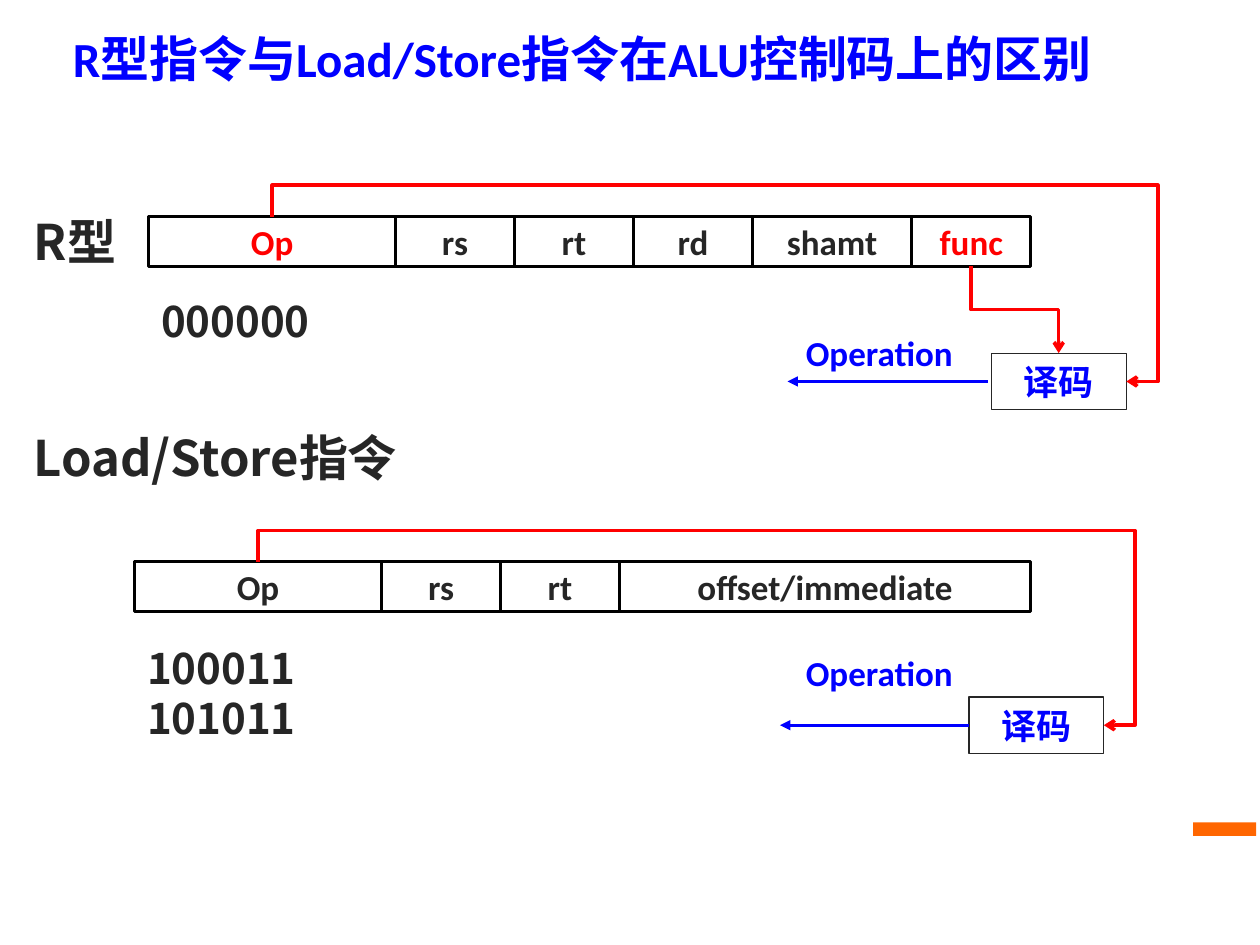
from dataclasses import dataclass

from lxml.etree import SubElement
from pptx import Presentation
from pptx.dml.color import RGBColor
from pptx.enum.shapes import MSO_CONNECTOR, MSO_SHAPE
from pptx.enum.text import MSO_ANCHOR, PP_ALIGN
from pptx.oxml.ns import qn
from pptx.shapes.autoshape import Shape
from pptx.shapes.connector import Connector
from pptx.slide import Slide
from pptx.util import Pt

COLORS = {"blue": "0000FF", "red": "FF0000", "ink": "262626",
          "black": "000000", "white": "FFFFFF", "orange": "FF6600"}
LATIN, CJK = "Calibri", "Noto Sans CJK SC"
FIELD_HEIGHT = 28.4


@dataclass(frozen=True)
class Field:
    name: str
    width: float
    color: str = "ink"


@dataclass(frozen=True)
class Label:
    lines: tuple[str, ...]
    left: float
    top: float
    width: float
    height: float
    size: float = 28
    font: str = CJK
    color: str = "ink"
    align: PP_ALIGN = PP_ALIGN.LEFT


@dataclass(frozen=True)
class Format:
    left: float
    top: float
    fields: tuple[Field, ...]
    decoder_left: float
    decoder_top: float
    operation_top: float
    output_start: float
    output_end: float


@dataclass(frozen=True)
class Elbow:
    start: tuple[float, float]
    end: tuple[float, float]
    preset: str
    adjustments: tuple[int, ...]


def rgb(color: str) -> RGBColor:
    return RGBColor.from_string(COLORS[color])


def write(shape: Shape, lines: tuple[str, ...], size: float, font: str,
          color: str, align: PP_ALIGN) -> None:
    frame = shape.text_frame
    frame.word_wrap = True
    frame.vertical_anchor = MSO_ANCHOR.MIDDLE
    for index, line in enumerate(lines):
        paragraph = frame.paragraphs[0] if index == 0 else frame.add_paragraph()
        paragraph.alignment = align
        if len(lines) > 1:
            paragraph.line_spacing = Pt(28.6)
        run = paragraph.add_run()
        run.text = line
        run.font.size = Pt(size)
        run.font.bold = True
        run.font.name = font
        run.font.color.rgb = rgb(color)
        SubElement(run.font._element, qn("a:ea")).set("typeface", CJK)


def add_label(slide: Slide, label: Label) -> None:
    box = slide.shapes.add_textbox(Pt(label.left), Pt(label.top),
                                   Pt(label.width), Pt(label.height))
    write(box, label.lines, label.size, label.font, label.color, label.align)


def add_box(slide: Slide, left: float, top: float, width: float, height: float,
            fill: str | None, line: str | None, weight: float = 1.5) -> Shape:
    box = slide.shapes.add_shape(MSO_SHAPE.RECTANGLE, Pt(left), Pt(top), Pt(width), Pt(height))
    box.shadow.inherit = False
    if fill:
        box.fill.solid()
        box.fill.fore_color.rgb = rgb(fill)
    else:
        box.fill.background()
    if line:
        box.line.color.rgb = rgb(line)
        box.line.width = Pt(weight)
    else:
        box.line.fill.background()
    return box


def style_arrow(arrow: Connector, color: str, weight: float, head: str) -> None:
    arrow.line.color.rgb = rgb(color)
    arrow.line.width = Pt(weight)
    properties = arrow._element.spPr
    SubElement(properties.find(qn("a:ln")), qn("a:tailEnd")).set("type", head)
    SubElement(properties, qn("a:effectLst"))


def add_elbow(slide: Slide, elbow: Elbow) -> None:
    (x1, y1), (x2, y2) = elbow.start, elbow.end
    run, drop = x2 - x1, y2 - y1
    left, top = (x1 + x2 - drop) / 2, (y1 + y2 - run) / 2
    arrow = slide.shapes.add_connector(MSO_CONNECTOR.ELBOW, Pt(left), Pt(top),
                                       Pt(left + drop), Pt(top + run))
    properties = arrow._element.spPr
    transform = properties.find(qn("a:xfrm"))
    transform.set("rot", str(270 * 60000))
    transform.set("flipH", "1")
    geometry = properties.find(qn("a:prstGeom"))
    geometry.set("prst", elbow.preset)
    guides = geometry.find(qn("a:avLst"))
    for number, value in enumerate(elbow.adjustments, 1):
        guide = SubElement(guides, qn("a:gd"))
        guide.set("name", f"adj{number}")
        guide.set("fmla", f"val {value}")
    style_arrow(arrow, "red", 2, "arrow")


def add_format(slide: Slide, layout: Format) -> None:
    left = layout.left
    for field in layout.fields:
        cell = add_box(slide, left, layout.top, field.width, FIELD_HEIGHT, "white", "black")
        write(cell, (field.name,), 20, LATIN, field.color, PP_ALIGN.CENTER)
        left += field.width

    decoder = add_box(slide, layout.decoder_left, layout.decoder_top, 77, 32.4, None, "ink", 0.75)
    write(decoder, ("译码",), 20, LATIN, "blue", PP_ALIGN.CENTER)
    middle = layout.decoder_top + 16.2
    add_elbow(slide, Elbow((layout.left + layout.fields[0].width / 2, layout.top),
                           (layout.decoder_left + 77, middle),
                           "bentConnector4", (-19100, 103700)))
    output = slide.shapes.add_connector(MSO_CONNECTOR.STRAIGHT, Pt(layout.output_start),
                                        Pt(middle), Pt(layout.output_end), Pt(middle))
    style_arrow(output, "blue", 1.5, "triangle")
    add_label(slide, Label(("Operation",), 450, layout.operation_top, 105, 32.4,
                           20, LATIN, "blue", PP_ALIGN.CENTER))


LABELS = (
    Label(("R型指令与Load/Store指令在ALU控制码上的区别",), 34.6, 5.8, 661.7, 54,
          font=LATIN, color="blue"),
    Label(("R型",), 12.2, 110.9, 129.6, 54),
    Label(("Load/Store指令",), 12.2, 234, 247.7, 54),
    Label(("000000",), 85, 164.9, 141, 36.7, 24, align=PP_ALIGN.JUSTIFY),
    Label(("100011", "101011"), 77, 361.4, 141, 69.1, 24, align=PP_ALIGN.JUSTIFY),
)
R_TYPE = Format(85, 123.8, (Field("Op", 141, "red"), Field("rs", 68), Field("rt", 68),
                            Field("rd", 68), Field("shamt", 91), Field("func", 68, "red")),
                566.6, 201.8, 185, 564.5, 450)
LOAD_STORE = Format(77, 321, (Field("Op", 141), Field("rs", 68), Field("rt", 68),
                              Field("offset/immediate", 235)),
                    553.8, 398.2, 368, 553.8, 445.7)


def main() -> None:
    presentation = Presentation()
    presentation.slide_width, presentation.slide_height = Pt(720), Pt(540)
    slide = presentation.slides.add_slide(presentation.slide_layouts[6])
    add_box(slide, 681.8, 470, 36, 7.7, "orange", None)
    for label in LABELS:
        add_label(slide, label)
    for layout in (R_TYPE, LOAD_STORE):
        add_format(slide, layout)
    add_elbow(slide, Elbow((555, R_TYPE.top + FIELD_HEIGHT), (605, R_TYPE.decoder_top),
                           "bentConnector3", (50000,)))
    presentation.save("out.pptx")


if __name__ == "__main__":
    main()
